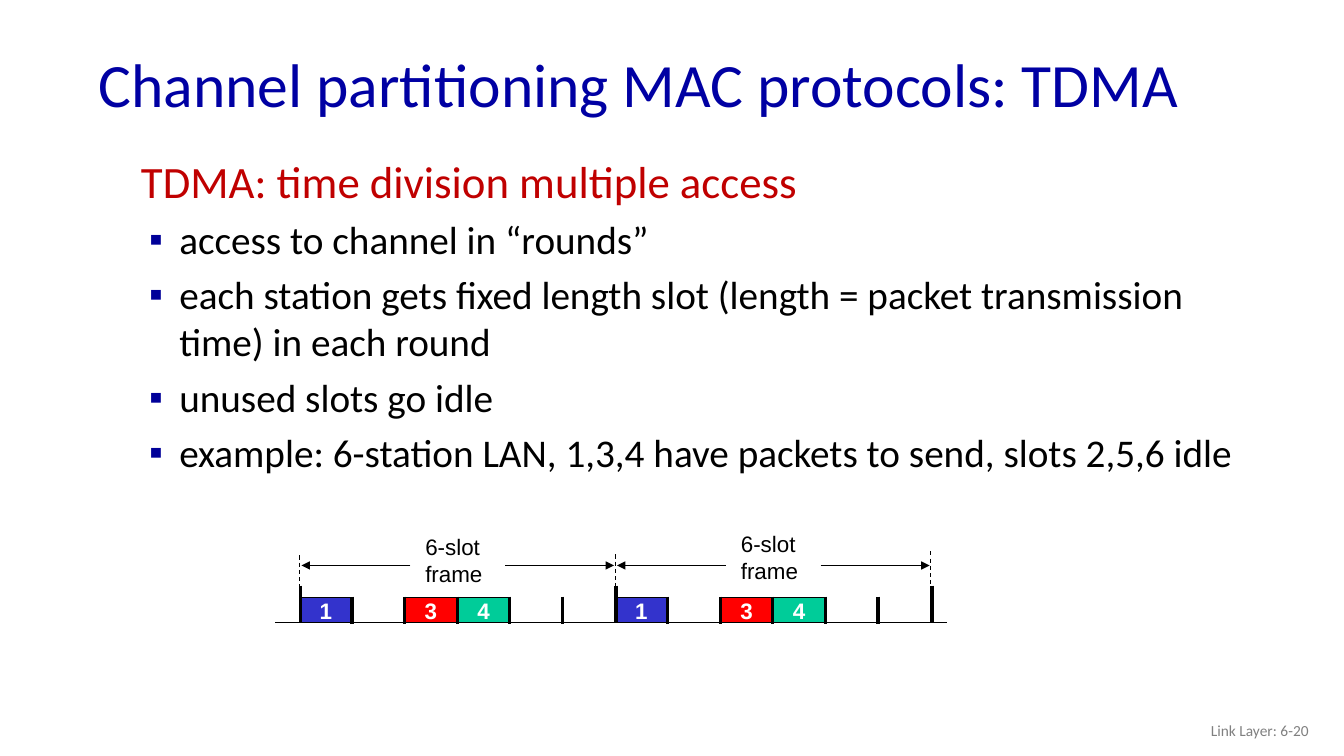
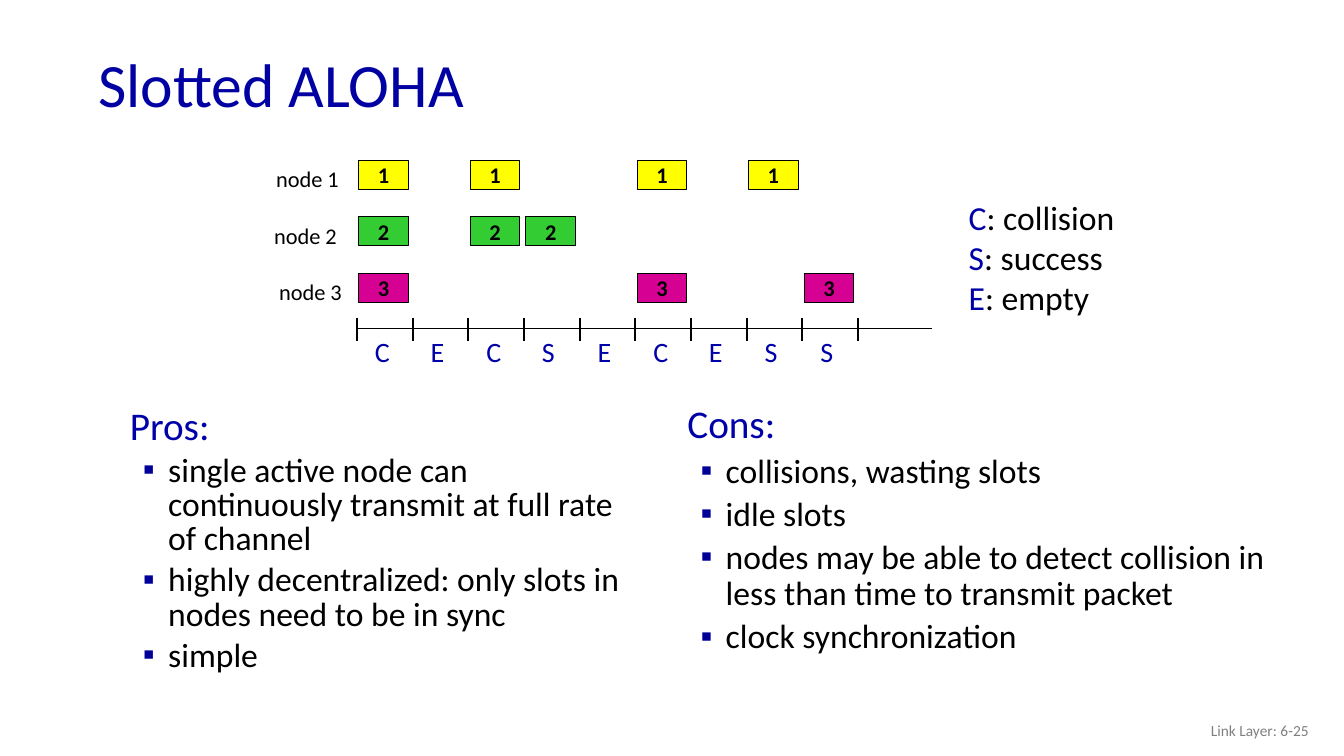
from lxml.etree import SubElement as Sub
from pptx import Presentation
from pptx.dml.color import RGBColor as Rgb
from pptx.enum.dml import MSO_LINE as Dash
from pptx.enum.shapes import MSO_CONNECTOR as Conn, MSO_SHAPE as Form
from pptx.enum.text import MSO_ANCHOR as Anchor, PP_ALIGN as Align
from pptx.oxml.ns import qn
from pptx.util import Inches, Pt

BLACK = Rgb(0, 0, 0)
WHITE = Rgb(0xFF, 0xFF, 0xFF)
GREY = Rgb(0x80, 0x80, 0x80)
TITLE = Rgb(0, 0, 0xA3)
NAVY = Rgb(0, 0, 0xA8)
MARK = Rgb(0, 0, 0x99)
DARK = Rgb(0xC0, 0, 0)
BLUE = Rgb(0x33, 0x33, 0xCC)
RED = Rgb(0xFF, 0, 0)
TEAL = Rgb(0, 0xCC, 0x99)
YELLOW = Rgb(0xFF, 0xFF, 0)
GREEN = Rgb(0x33, 0xCC, 0x33)
PINK = Rgb(0xD6, 0, 0x93)


def put(item, vals):
    for key, val in vals.items():
        setattr(item, key, val)


class Deck:
    face = "Calibri"

    def __init__(self):
        self.prs = Presentation()
        put(self.prs, {"slide_width": Inches(13.33), "slide_height": Inches(7.5)})
        self.slide = None

    def start(self, title, num):
        self.slide = self.prs.slides.add_slide(self.prs.slide_layouts[6])
        self.text((0.88, 0.38, 11.5, 0.98), [title], 44, TITLE, wrap=True,
                  mid=True, para={"line_spacing": 0.9})
        self.text((10.08, 7.05, 3, 0.4), [f"Link Layer: 6-{num}"], 11, GREY,
                  wrap=True, mid=True, para={"alignment": Align.RIGHT})

    def fill(self, para, runs, size, color, face=None, bold=False):
        if isinstance(runs, str):
            runs = [(runs, color)]
        for words, tint in runs:
            run = para.add_run()
            run.text = words
            put(run.font, {"name": face or self.face, "size": Pt(size), "bold": bold})
            run.font.color.rgb = tint

    def frame(self, at, wrap, mid=False):
        frame = self.slide.shapes.add_textbox(*map(Inches, at)).text_frame
        put(frame, {"word_wrap": wrap,
                    "vertical_anchor": Anchor.MIDDLE if mid else Anchor.TOP})
        return frame

    def text(self, at, lines, size, color, face=None, wrap=False, mid=False, para=None):
        frame = self.frame(at, wrap, mid)
        for i, runs in enumerate(lines):
            item = frame.add_paragraph() if i else frame.paragraphs[0]
            put(item, para or {})
            self.fill(item, runs, size, color, face)

    def bullets(self, at, head, tint, points, size, hang, gap, lead, body):
        frame = self.frame(at, True)
        first = frame.paragraphs[0]
        put(first, {"line_spacing": lead, "space_before": Pt(0.2 * (size + 4))})
        self.indent(first, 0.38)
        self.fill(first, head, size + 4, tint)
        for words in points:
            para = frame.add_paragraph()
            put(para, {"line_spacing": body, "space_before": Pt(gap)})
            props = self.indent(para, hang)
            Sub(Sub(props, qn("a:buClr")), qn("a:srgbClr"), val=str(MARK))
            Sub(props, qn("a:buFont"), typeface="Arial")
            Sub(props, qn("a:buChar"), char="▪")
            self.fill(para, words, size, BLACK)

    def indent(self, para, hang):
        props = para._p.get_or_add_pPr()
        props.set("marL", str(Inches(0.38)))
        props.set("indent", str(-Inches(hang)))
        return props

    def box(self, at, words, fill, color, face=None):
        box = self.slide.shapes.add_shape(Form.RECTANGLE, *map(Inches, at))
        box.shadow.inherit = False
        box.fill.solid()
        box.fill.fore_color.rgb = fill
        box.line.color.rgb = BLACK
        box.line.width = Pt(0.75)
        sides = ("left", "right", "top", "bottom")
        put(box.text_frame, {f"margin_{side}": 0 for side in sides})
        put(box.text_frame, {"word_wrap": False, "vertical_anchor": Anchor.MIDDLE})
        para = box.text_frame.paragraphs[0]
        para.alignment = Align.CENTER
        self.fill(para, words, 16, color, face, True)

    def line(self, x1, y1, x2, y2, width=0.75, dash=None, arrow=False):
        ends = map(Inches, (x1, y1, x2, y2))
        wire = self.slide.shapes.add_connector(Conn.STRAIGHT, *ends)
        wire.line.color.rgb = BLACK
        put(wire.line, {"width": Pt(width), "dash_style": dash})
        props = wire._element.spPr
        if arrow:
            Sub(props.find(qn("a:ln")), qn("a:tailEnd"), type="triangle")
        Sub(props, qn("a:effectLst"))


def tdma(deck):
    deck.start("Channel partitioning MAC protocols: TDMA", 20)
    deck.bullets((1.3, 1.6, 11.19, 3.2), "TDMA: time division multiple access", DARK, [
        "access to channel in “rounds”",
        "each station gets fixed length slot (length = packet transmission time) in each round",
        "unused slots go idle",
        "example: 6-station LAN, 1,3,4 have packets to send, slots 2,5,6 idle",
    ], 28, 0.3, 6, 0.75, 1.0)
    left, span, base = 2.97, 3.13, 6.18
    slot = span / 6
    deck.line(2.73, base, 9.39, base)
    for x, top in ((left, 5.24), (left + span, 5.21)):
        for num, fill in ((1, BLUE), (3, RED), (4, TEAL)):
            deck.box((x + (num - 1) * slot, 5.93, slot, 0.25), str(num), fill, WHITE, "Arial")
        for i in range(1, 6):
            deck.line(x + i * slot, 5.92, x + i * slot, 6.19, 2.25)
        deck.text((x + 1.15, top, 0.77, 0.64), ["6-slot", "frame"], 16, BLACK, "Arial")
        for tail, head in ((1.1, 0.02), (2.04, 3.12)):
            deck.line(x + tail, 5.61, x + head, 5.61, arrow=True)
    for i, (top, width) in enumerate(((5.51, 2.25), (5.5, 3), (5.47, 3))):
        x = left + i * span
        deck.line(x, top, x, top + 0.33, dash=Dash.DASH)
        deck.line(x + 0.01, 5.81, x + 0.01, base, width)


def aloha(deck):
    deck.start("Slotted ALOHA", 25)
    deck.bullets((1.19, 4, 5.3, 3.5), "Pros:", NAVY, [
        "single active node can continuously transmit at full rate of channel",
        "highly decentralized: only slots in nodes need to be in sync",
        "simple",
    ], 24, 0.25, 4.8, 0.85, 0.85)
    deck.bullets((6.72, 3.97, 6.1, 3), "Cons:", NAVY, [
        "collisions, wasting slots",
        "idle slots",
        "nodes may be able to detect collision in less than time to transmit packet",
        "clock synchronization",
    ], 24, 0.25, 4.8, 0.9, 0.9)
    left, slot = 3.54, 4.97 / 9
    rows = ((2.64, YELLOW, (0, 2, 5, 7)), (2.62, GREEN, (0, 2, 3)), (2.67, PINK, (0, 5, 8)))
    for i, (x, fill, sent) in enumerate(rows):
        top = 1.59 + i * 0.56
        deck.text((x, top, 0.83, 0.37), [f"node {i + 1}"], 16, BLACK)
        for j in sent:
            deck.box((left + 0.02 + j * slot, top, 0.49, 0.29), str(i + 1), fill, BLACK)
    deck.line(left, 3.26, 9.24, 3.26)
    for i in range(10):
        deck.line(left + i * slot, 3.15, left + i * slot, 3.38, 1.5)
    for i, mark in enumerate("CECSECESS"):
        deck.text((left + 0.08 + i * slot, 3.27, 0.35, 0.44), [mark], 20, NAVY)
    keys = ("collision", "success", "empty")
    deck.text((9.51, 1.9, 1.66, 1.31),
              [[(key[0].upper(), NAVY), (f": {key}", BLACK)] for key in keys], 24, NAVY)


deck = Deck()
tdma(deck)
aloha(deck)
deck.prs.save("out.pptx")
